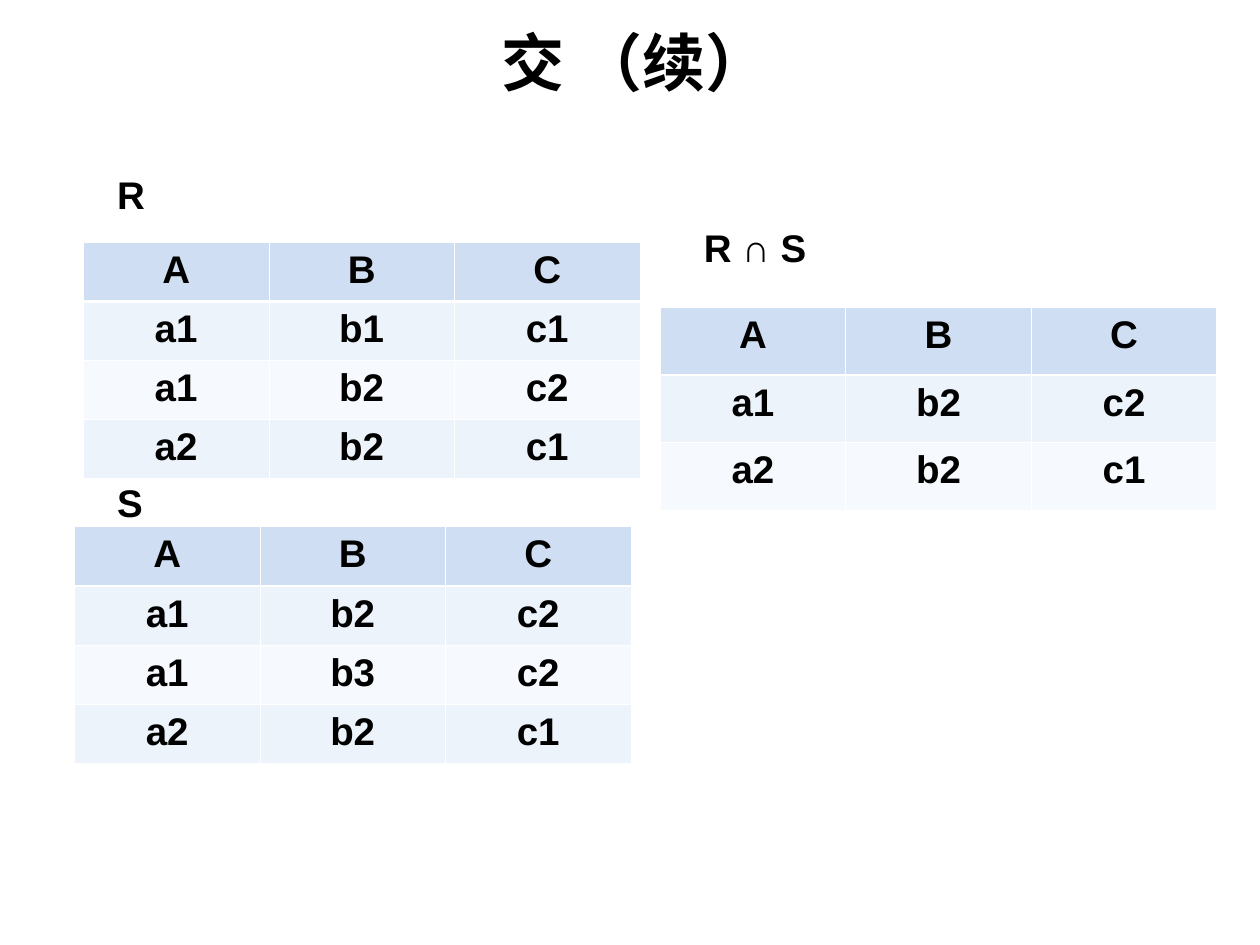
from lxml.etree import SubElement
from pptx import Presentation
from pptx.dml.color import RGBColor
from pptx.enum.text import MSO_ANCHOR, MSO_AUTO_SIZE, PP_ALIGN
from pptx.oxml.ns import qn
from pptx.util import Cm, Pt

BLACK = RGBColor(0x00, 0x00, 0x00)
WHITE = RGBColor(0xFF, 0xFF, 0xFF)
HEADER_FILL = RGBColor(0xCF, 0xDE, 0xF3)
ROW_FILLS = (RGBColor(0xED, 0xF3, 0xFA), RGBColor(0xF6, 0xF9, 0xFD))
THIN, THICK = Pt(0.45), Pt(1.47)
COLUMN_WIDTH = Cm(3.74)

TITLE = "交 （续）"
HEADER = ("A", "B", "C")
# name, label (left, top, width), table (left, top), row height, rows; all in cm
RELATIONS = [
    ("R", (2.11, 3.33, 1.07), (1.68, 4.89), 1.19,
     [("a1", "b1", "c1"), ("a1", "b2", "c2"), ("a2", "b2", "c1")]),
    ("R ∩ S", (13.94, 4.39, 2.57), (13.31, 6.2), 1.36,
     [("a1", "b2", "c2"), ("a2", "b2", "c1")]),
    ("S", (2.11, 9.53, 1.02), (1.5, 10.62), 1.19,
     [("a1", "b2", "c2"), ("a1", "b3", "c2"), ("a2", "b2", "c1")]),
]


def write(frame, text, size, alignment):
    para = frame.paragraphs[0]
    para.alignment = alignment
    span = para.add_run()
    span.text = text
    span.font.name = "Arial"
    span.font.size = Pt(size)
    span.font.bold = True
    span.font.color.rgb = BLACK


def add_borders(cell, row):
    """Draw white cell edges, thick between the header and the first row."""
    widths = {
        "a:lnL": THIN,
        "a:lnR": THIN,
        "a:lnT": THICK if row == 1 else THIN,
        "a:lnB": THICK if row == 0 else THIN,
    }
    properties = cell._tc.get_or_add_tcPr()
    for tag, width in widths.items():
        line = SubElement(properties, qn(tag), w=str(int(width)))
        fill = SubElement(line, qn("a:solidFill"))
        SubElement(fill, qn("a:srgbClr"), val=str(WHITE))


def add_relation_table(page, left, top, row_height, rows):
    content = [HEADER, *rows]
    table = page.shapes.add_table(
        len(content), len(HEADER), Cm(left), Cm(top),
        COLUMN_WIDTH * len(HEADER), Cm(row_height * len(content))).table
    for column in table.columns:
        column.width = COLUMN_WIDTH
    for row, values in enumerate(content):
        table.rows[row].height = Cm(row_height)
        for column, value in enumerate(values):
            cell = table.cell(row, column)
            add_borders(cell, row)
            cell.fill.solid()
            cell.fill.fore_color.rgb = ROW_FILLS[(row - 1) % 2] if row else HEADER_FILL
            write(cell.text_frame, value, 22, PP_ALIGN.CENTER)


def add_label(page, name, left, top, width):
    box = page.shapes.add_textbox(Cm(left), Cm(top), Cm(width), Cm(1.19))
    frame = box.text_frame
    frame.word_wrap = False
    frame.auto_size = MSO_AUTO_SIZE.SHAPE_TO_FIT_TEXT
    write(frame, name, 22, PP_ALIGN.LEFT)


def main():
    deck = Presentation()
    deck.slide_width, deck.slide_height = Cm(25.4), Cm(19.05)
    page = deck.slides.add_slide(deck.slide_layouts[5])

    title = page.shapes.title
    title.left, title.top = Cm(2.54), Cm(0.33)
    title.width, title.height = Cm(20.52), Cm(1.8)
    title.text_frame.vertical_anchor = MSO_ANCHOR.MIDDLE
    write(title.text_frame, TITLE, 36, PP_ALIGN.CENTER)

    for name, label_place, table_place, row_height, rows in RELATIONS:
        add_relation_table(page, *table_place, row_height, rows)
        add_label(page, name, *label_place)

    deck.save("out.pptx")


if __name__ == "__main__":
    main()
